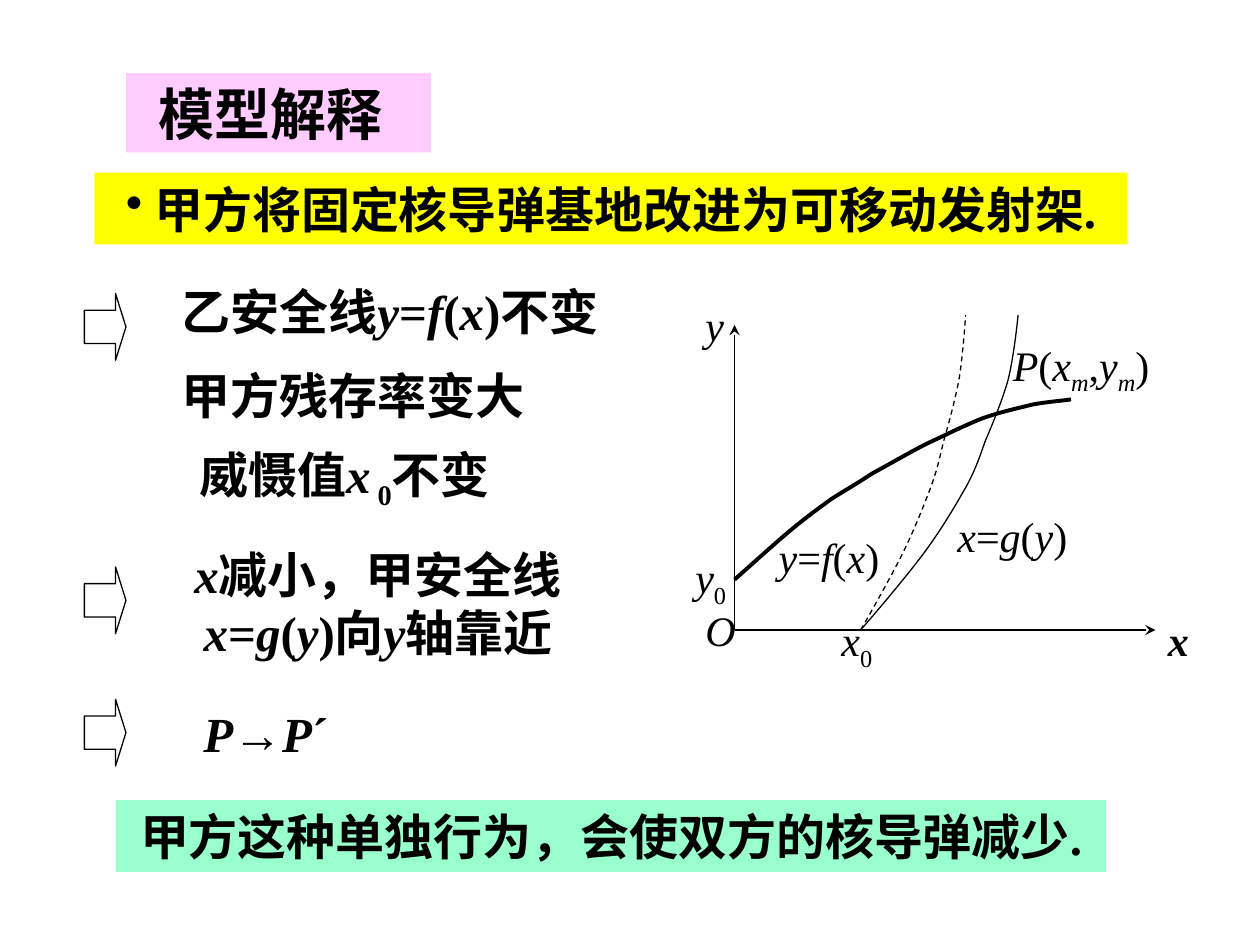
from lxml import etree
from pptx import Presentation
from pptx.dml.color import RGBColor
from pptx.enum import dml, shapes, text
from pptx.oxml.ns import qn
from pptx.util import Inches, Pt

BLACK = RGBColor(0x00, 0x00, 0x00)
YELLOW = RGBColor(0xFF, 0xFF, 0x00)
PINK = RGBColor(0xFF, 0xCC, 0xFF)
MINT = RGBColor(0x99, 0xFF, 0xCC)
SERIF = "Times New Roman"
CJK = "Noto Sans CJK SC"
CENTER = text.PP_ALIGN.CENTER
LEFT = text.PP_ALIGN.LEFT

ORIGIN = (5.83, 5)
X0 = 6.83
F_CURVE = [(5.83, 4.6), (5.9, 4.54), (6.12, 4.34), (6.25, 4.23),
           (6.38, 4.12), (6.49, 4.04), (6.6, 3.96),
           (6.71, 3.89), (6.8, 3.84), (6.92, 3.76),
           (7.05, 3.69), (7.22, 3.59), (7.36, 3.52),
           (7.51, 3.45), (7.67, 3.37), (7.8, 3.32),
           (7.94, 3.27), (8.08, 3.24), (8.2, 3.21),
           (8.31, 3.19), (8.44, 3.18), (8.5, 3.17)]
G_CURVE = [(X0, 5), (6.92, 4.9), (7.2, 4.57), (7.34, 4.38),
           (7.48, 4.19), (7.59, 4), (7.67, 3.86),
           (7.75, 3.71), (7.77, 3.64), (7.82, 3.5),
           (7.88, 3.36), (7.95, 3.19), (8, 3.02),
           (8.04, 2.86), (8.07, 2.61), (8.08, 2.5)]

# Each run is (text, style): "i" italic, "s" subscript.
F_OF_X = [("y", "i"), ("=", ""), ("f", "i"), ("(", ""), ("x", "i")]
G_OF_Y = [("x", "i"), ("=", ""), ("g", "i"), ("(", ""), ("y", "i")]


def write(shape, runs, size=28, bold=True, align=CENTER, wrap=True, font=SERIF):
    frame = shape.text_frame
    frame.word_wrap = wrap
    frame.auto_size = text.MSO_AUTO_SIZE.NONE
    frame.vertical_anchor = (text.MSO_ANCHOR.MIDDLE if align == CENTER
                             else text.MSO_ANCHOR.TOP)
    para = frame.paragraphs[0]
    para.alignment = align
    for words, style in runs:
        span = para.add_run()
        span.text = words
        span.font.size = Pt(size)
        span.font.bold = bold
        span.font.italic = "i" in style
        span.font.color.rgb = BLACK
        span.font.name = font
        props = span._r.get_or_add_rPr()
        etree.SubElement(props, qn("a:ea")).set("typeface", CJK)
        if "s" in style:
            props.set("baseline", "-25000")


def add_label(parent, place, runs, **style):
    box = parent.add_textbox(*map(Inches, place))
    write(box, runs, **style)


def add_banner(page, place, color, words):
    banner = page.shapes.add_shape(shapes.MSO_SHAPE.RECTANGLE, *map(Inches, place))
    banner.shadow.inherit = False
    banner.fill.solid()
    banner.fill.fore_color.rgb = color
    banner.line.fill.background()
    write(banner, [(words, "")])
    return banner


def add_bullet(para):
    props = para._p.get_or_add_pPr()
    props.set("marL", "0")
    props.set("indent", "0")
    etree.SubElement(props, qn("a:buChar")).set("char", "•")


def add_axis(parent, end):
    axis = parent.add_connector(shapes.MSO_CONNECTOR.STRAIGHT,
                                *map(Inches, ORIGIN + end))
    axis.line.color.rgb = BLACK
    axis.line.width = Pt(0.75)
    etree.SubElement(axis.line._get_or_add_ln(), qn("a:tailEnd")).set("type", "stealth")
    etree.SubElement(axis._element.spPr, qn("a:effectLst"))


def add_curve(parent, points, width=0.75, dashed=False):
    """Draw a chain of cubic Béziers: a start, then three points per segment."""
    start, *rest = [(Inches(x), Inches(y)) for x, y in points]
    builder = parent.build_freeform(*start)
    builder.add_line_segments(rest, close=False)
    curve = builder.convert_to_shape()
    outline = curve._element.find(".//" + qn("a:path"))
    lines = outline.findall(qn("a:lnTo"))
    for first in range(0, len(lines), 3):
        cubic = etree.SubElement(outline, qn("a:cubicBezTo"))
        for line in lines[first:first + 3]:
            cubic.append(line[0])
            outline.remove(line)
    curve.shadow.inherit = False
    curve.fill.background()
    curve.line.color.rgb = BLACK
    curve.line.width = Pt(width)
    if dashed:
        curve.line.dash_style = dml.MSO_LINE.DASH


def add_block_arrow(page, top):
    arrow = page.shapes.add_shape(shapes.MSO_SHAPE.RIGHT_ARROW, Inches(0.67),
                                  Inches(top), Inches(0.33), Inches(0.53))
    arrow.adjustments[0], arrow.adjustments[1] = 0.5, 0.25
    arrow.shadow.inherit = False
    arrow.fill.background()
    arrow.line.color.rgb = BLACK
    arrow.line.width = Pt(0.75)


def add_title(page):
    title = page.shapes.title
    title.left, title.top = Inches(1), Inches(0.58)
    title.width, title.height = Inches(2.42), Inches(0.63)
    title.fill.solid()
    title.fill.fore_color.rgb = PINK
    write(title, [("模型解释", "")], size=32, font=CJK)
    title.text_frame.margin_right = Inches(0.22)


def add_reasoning(page):
    add_label(page.shapes, (1.33, 2.18, 3.53, 0.57),
              [("乙安全线", ""), *F_OF_X, (")不变", "")])
    add_label(page.shapes, (1.33, 2.85, 2.94, 0.57),
              [("甲方残存率变大", "")], wrap=False)
    add_label(page.shapes, (1.46, 3.51, 2.55, 0.57),
              [("威慑值", ""), ("x", "i"), (" 0", "s"), ("不变", "")])
    add_label(page.shapes, (1.25, 4.27, 3.5, 1.03),
              [("x", "i"), ("减小，甲安全线", ""), *G_OF_Y,
               (")向", ""), ("y", "i"), ("轴靠近", "")])
    add_label(page.shapes, (1.48, 5.53, 1.26, 0.57),
              [("P", "i"), ("→", ""), ("P", "i"), ("´", "")], wrap=False)
    for top in (2.33, 4.5, 5.55):
        add_block_arrow(page, top)


def add_graph(page):
    graph = page.shapes.add_group_shape().shapes
    add_axis(graph, (9.17, 5))
    add_axis(graph, (5.83, 2.58))
    add_curve(graph, F_CURVE, width=2.25)
    add_curve(graph, G_CURVE)

    axis_labels = [(9.17, 4.83, [("x", "i")], True),
                   (5.5, 2.33, [("y", "i")], False),
                   (5.5, 4.75, [("O", "i")], False),
                   (5.42, 4.33, [("y", "i"), ("0", "s")], False),
                   (6.58, 4.83, [("x", "i"), ("0", "s")], False)]
    for left, top, runs, bold in axis_labels:
        add_label(graph, (left, top, 0.75, 0.5), runs, size=24, bold=bold, align=LEFT)

    point = [("P", "i"), ("(", ""), ("x", "i"), ("m", "is"), (",", ""),
             ("y", "i"), ("m", "is"), (")", "")]
    curve_labels = [(7.92, 2.67, 1.32, point),
                    (7.5, 4, 1.07, G_OF_Y + [(")", "")]),
                    (6.08, 4.17, 1, F_OF_X + [(")", "")])]
    for left, top, width, runs in curve_labels:
        add_label(graph, (left, top, width, 0.5), runs, size=24, bold=False, wrap=False)

    # The moved safety line keeps x0 and lies a third nearer to the y axis.
    moved = [(X0 + (x - X0) * 2 / 3, y) for x, y in G_CURVE]
    add_curve(page.shapes, moved, dashed=True)


def main():
    deck = Presentation()
    deck.slide_width, deck.slide_height = Inches(10), Inches(7.5)
    page = deck.slides.add_slide(deck.slide_layouts[5])
    add_title(page)
    premise = add_banner(page, (0.75, 1.37, 8.2, 0.57), YELLOW,
                         " 甲方将固定核导弹基地改进为可移动发射架.")
    add_bullet(premise.text_frame.paragraphs[0])
    add_reasoning(page)
    add_graph(page)
    add_banner(page, (0.92, 6.35, 7.86, 0.57), MINT,
               "甲方这种单独行为，会使双方的核导弹减少.")
    deck.save("out.pptx")


if __name__ == "__main__":
    main()
